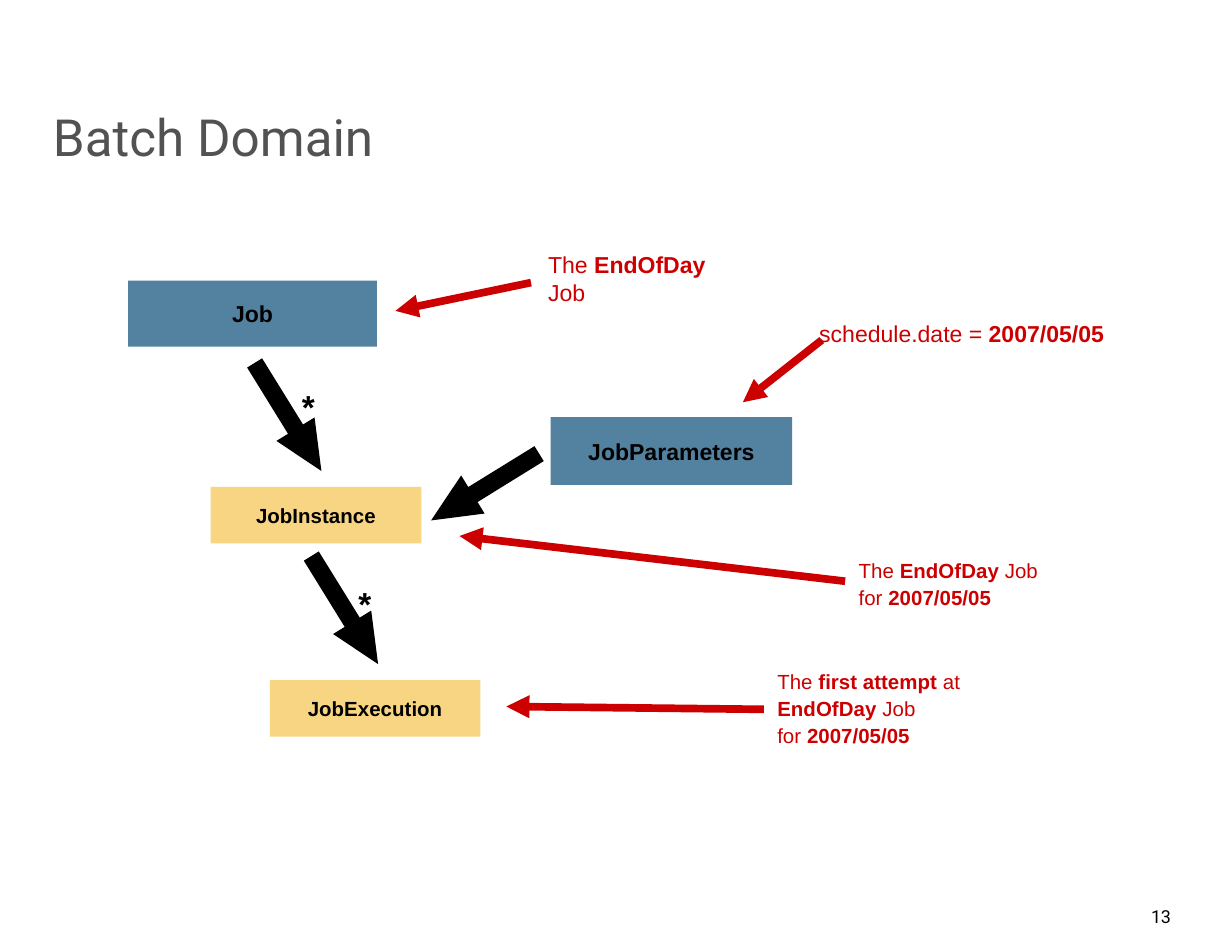
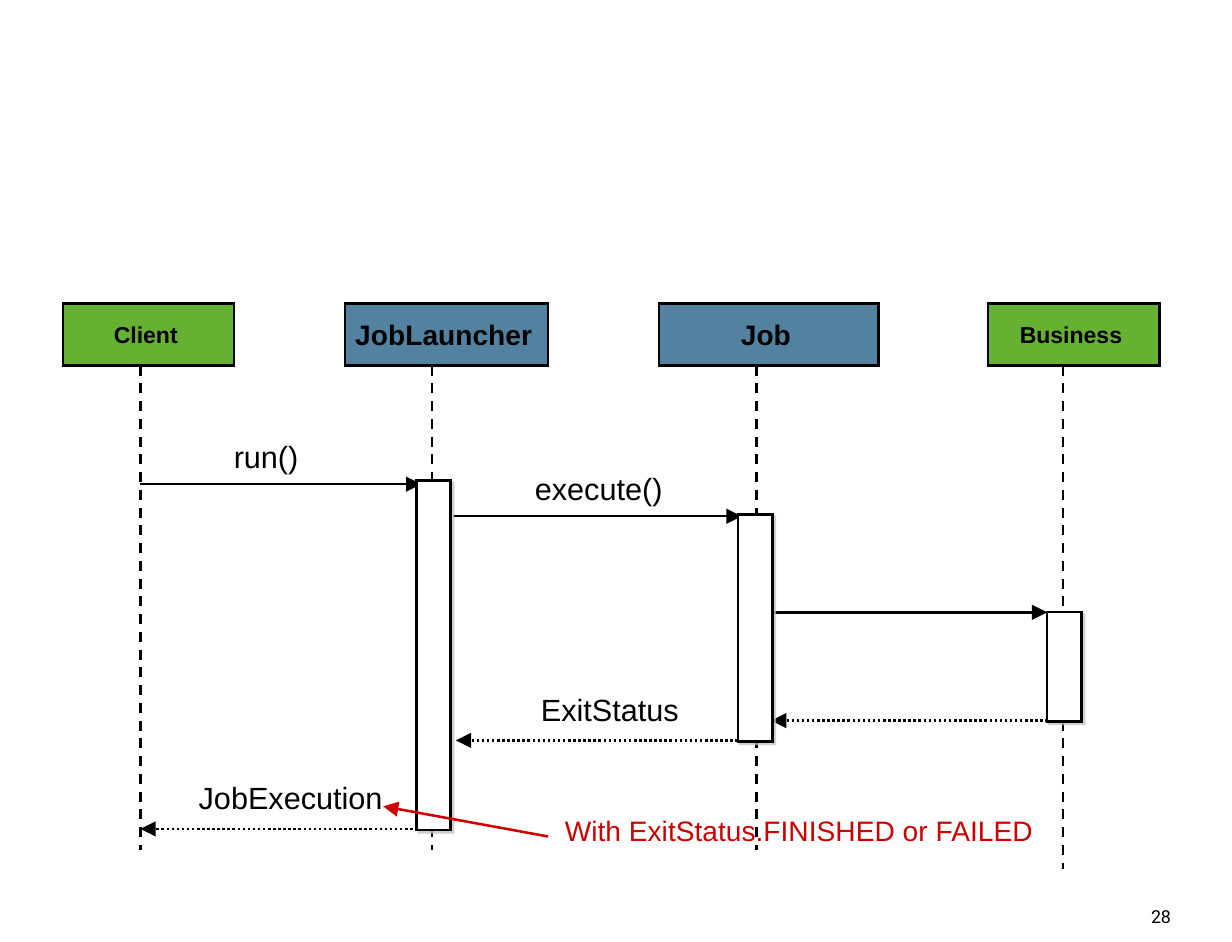
"""Build the batch domain diagram and the job launch sequence diagram."""
from lxml.etree import SubElement
from pptx import Presentation
from pptx.dml.color import RGBColor
from pptx.enum.dml import MSO_LINE as Dash
from pptx.enum.shapes import MSO_CONNECTOR as Connector, MSO_SHAPE as Preset
from pptx.enum.text import MSO_ANCHOR as Anchor, PP_ALIGN as Align
from pptx.oxml.ns import qn
from pptx.util import Inches, Mm, Pt

WIDTH, HEIGHT = Mm(170), Mm(130)
COL, ROW = WIDTH / 100, HEIGHT / 100
COLOURS = {"blue": "5382A1", "yellow": "F8D583", "green": "66B132", "red": "CC0000",
           "black": "000000", "white": "FFFFFF", "grey": "525252", "shade": "C0C0C0"}

TITLE_AREA = (4.3, 0, 91.3, 17.7)
NUMBER_AREA = (90.8, 95.7, 5, 3.1)

ENTITIES = [
    ("Job", (10.4, 29.8, 20.2, 7), "blue", 9),
    ("JobParameters", (44.7, 44.3, 19.6, 7.2), "blue", 9),
    ("JobInstance", (17.1, 51.7, 17.1, 6), "yellow", 8),
    ("JobExecution", (21.9, 72.2, 17.1, 6), "yellow", 8),
]
RELATIONS = [(23.3, 44.1, 58.3), (27.9, 64.6, 58.3), (39.5, 51.6, 148.3)]
RELATION_SIZE = (9.6, 3.9)
MULTIPLICITIES = [(24.2, 40.8), (28.8, 61.7)]
EXAMPLES = [
    (["The |EndOfDay| Job"], (44.2, 27.7, 16, 3.7), 9, True,
     (43.1, 30, 32.1, 33)),
    (["schedule.date =| 2007/05/05"], (66.2, 33.9, 23.8, 2.9), 9, False,
     (66.7, 36.1, 60.3, 42.7)),
    (["The |EndOfDay| Job", "for |2007/05/05"], (69.4, 59, 15.2, 5.7), 8, False,
     (68.6, 61.7, 37.3, 56.9)),
    (["The |first attempt |at", "|EndOfDay| Job", "for |2007/05/05"],
     (62.8, 70.8, 16, 8.6), 8, False, (62, 75.3, 41.1, 75)),
]

HEAD_TOP, HEAD_HEIGHT = 32.2, 6.6
BAR_WIDTH = 2.8
PARTICIPANTS = [
    ("Client", 5.1, 13.9, "green", 9, 11.4, 90.2, None),
    ("JobLauncher", 28, 16.5, "blue", 11, 35.05, 90.2, (33.8, 51, 88.1)),
    ("Job", 53.5, 17.8, "blue", 11, 61.4, 90.2, (59.9, 54.6, 78.7)),
    ("Business", 80.2, 13.9, "green", 9, 86.3, 92.3, (85, 65, 76.6)),
]
CALLS = [(11.4, 34.2, 51.4, "run()", 21.6),
         (36.8, 60.2, 54.8, "execute()", 48.6),
         (62.8, 85, 65, None, None)]
RETURNS = [(59.9, 37, 78.6, "ExitStatus", 49.5),
           (86.7, 62.6, 76.5, None, None),
           (33.9, 11.4, 88, "JobExecution", 23.6)]
LABEL_SIZE = (18.3, 5.5)
OUTCOME = ("With ExitStatus.FINISHED or FAILED", (45.4, 86.4, 39.2, 3.5),
           (44.5, 88.8, 31.1, 85.6))


def colour(name):
    return RGBColor.from_string(COLOURS[name])


def place(left, top, width, height):
    return round(left * COL), round(top * ROW), round(width * COL), round(height * ROW)


def write(shape, lines, size, ink="black", font="Arial", align=Align.LEFT,
          anchor=Anchor.MIDDLE, wrap=True, bold=False, insets=(0.02, 0, 0.02, 0)):
    """Fill a shape with lines of text; bars in a line switch bold on and off."""
    frame = shape.text_frame
    frame.word_wrap, frame.vertical_anchor = wrap, anchor
    (frame.margin_left, frame.margin_top,
     frame.margin_right, frame.margin_bottom) = map(Inches, insets)
    for index, line in enumerate(lines):
        paragraph = frame.add_paragraph() if index else frame.paragraphs[0]
        paragraph.alignment = align
        if len(lines) > 1:
            paragraph.line_spacing = 1.1
        for part, words in enumerate(line.split("|")):
            if words:
                run = paragraph.add_run()
                run.text = words
                run.font.name, run.font.size = font, Pt(size)
                run.font.bold = bold or part % 2 == 1
                run.font.color.rgb = colour(ink)


def add_text(slide, area, lines, size, **style):
    write(slide.shapes.add_textbox(*place(*area)), lines, size, **style)


def add_block(slide, area, fill, outline=0, preset=Preset.RECTANGLE):
    block = slide.shapes.add_shape(preset, *place(*area))
    block.shadow.inherit = False
    block.fill.solid()
    block.fill.fore_color.rgb = colour(fill)
    if outline:
        block.line.color.rgb = colour("black")
        block.line.width = Pt(outline)
        SubElement(block.line._get_or_add_ln(), qn("a:miter"), lim="800000")
    else:
        block.line.fill.background()
    return block


def add_line(slide, ends, ink="black", width=1, dash=None, arrow=True):
    x1, y1, x2, y2 = ends
    line = slide.shapes.add_connector(
        Connector.STRAIGHT, round(x1 * COL), round(y1 * ROW), round(x2 * COL), round(y2 * ROW))
    line.line.color.rgb = colour(ink)
    line.line.width = Pt(width)
    if dash:
        line.line.dash_style = dash
    if arrow:
        SubElement(line.line._get_or_add_ln(), qn("a:tailEnd"), type="triangle")
    SubElement(line._element.spPr, qn("a:effectLst"))


def drop_shadow(shape):
    effects = shape._element.spPr.find(qn("a:effectLst"))
    shadow = SubElement(effects, qn("a:outerShdw"), blurRad="0", dist=str(Pt(1.4)),
                        dir=str(45 * 60000), algn="ctr", rotWithShape="0")
    tint = SubElement(shadow, qn("a:srgbClr"), val=COLOURS["shade"])
    SubElement(tint, qn("a:alpha"), val="75000")


def new_slide(deck, number, title=None):
    slide = deck.slides.add_slide(deck.slide_layouts[6])
    add_text(slide, NUMBER_AREA, [number], 7, font="Roboto", align=Align.RIGHT,
             anchor=Anchor.TOP, insets=(0.05, 0.02, 0.05, 0.02))
    if title:
        add_text(slide, TITLE_AREA, [title], 20, ink="grey", font="Roboto",
                 anchor=Anchor.BOTTOM, insets=(0, 0, 0, 0))
    return slide


def draw_domain(slide):
    for name, area, fill, size in ENTITIES:
        write(add_block(slide, area, fill), [name], size, align=Align.CENTER, bold=True)
    for left, top in MULTIPLICITIES:
        add_text(slide, (left, top, 1.8, 4.7), ["*"], 13, bold=True, anchor=Anchor.TOP,
                 wrap=False, insets=(0.02, 0.01, 0.03, 0.01))
    for lines, area, size, wrap, ends in EXAMPLES:
        add_text(slide, area, lines, size, ink="red", wrap=wrap)
        add_line(slide, ends, "red", 3)
    length, thickness = RELATION_SIZE
    for x, y, angle in RELATIONS:
        relation = add_block(slide, (x - length / 2, y - thickness / 2, length, thickness),
                             "black", 2, Preset.RIGHT_ARROW)
        relation.adjustments[0], relation.adjustments[1] = 0.34, 1.1
        relation.rotation = angle


def draw_messages(slide, messages, rise, dash=None):
    width, height = LABEL_SIZE
    for start, end, y, label, middle in messages:
        add_line(slide, (start, y, end, y), dash=dash)
        if label:
            add_text(slide, (middle - width / 2, y - rise, width, height), [label], 12,
                     align=Align.CENTER, anchor=Anchor.TOP)


def draw_sequence(slide):
    for name, left, width, fill, size, life, end, _ in PARTICIPANTS:
        head = add_block(slide, (left, HEAD_TOP, width, HEAD_HEIGHT), fill, 1)
        write(head, [name], size, align=Align.CENTER, bold=True, wrap=False,
              insets=(0.02, 0.02, 0.05, 0.02))
        add_line(slide, (life, HEAD_TOP + HEAD_HEIGHT, life, end), dash=Dash.DASH, arrow=False)
    draw_messages(slide, CALLS, 4.9)
    draw_messages(slide, RETURNS, 5.3, Dash.ROUND_DOT)
    for *_, active in PARTICIPANTS:
        if active:
            left, top, bottom = active
            drop_shadow(add_block(slide, (left, top, BAR_WIDTH, bottom - top), "white", 1))
    words, area, ends = OUTCOME
    add_text(slide, area, [words], 11, ink="red", wrap=False, insets=(0.03, 0, 0.03, 0))
    add_line(slide, ends, "red")


def main():
    deck = Presentation()
    deck.slide_width, deck.slide_height = WIDTH, HEIGHT
    draw_domain(new_slide(deck, "13", "Batch Domain"))
    draw_sequence(new_slide(deck, "28"))
    deck.save("out.pptx")


if __name__ == "__main__":
    main()
